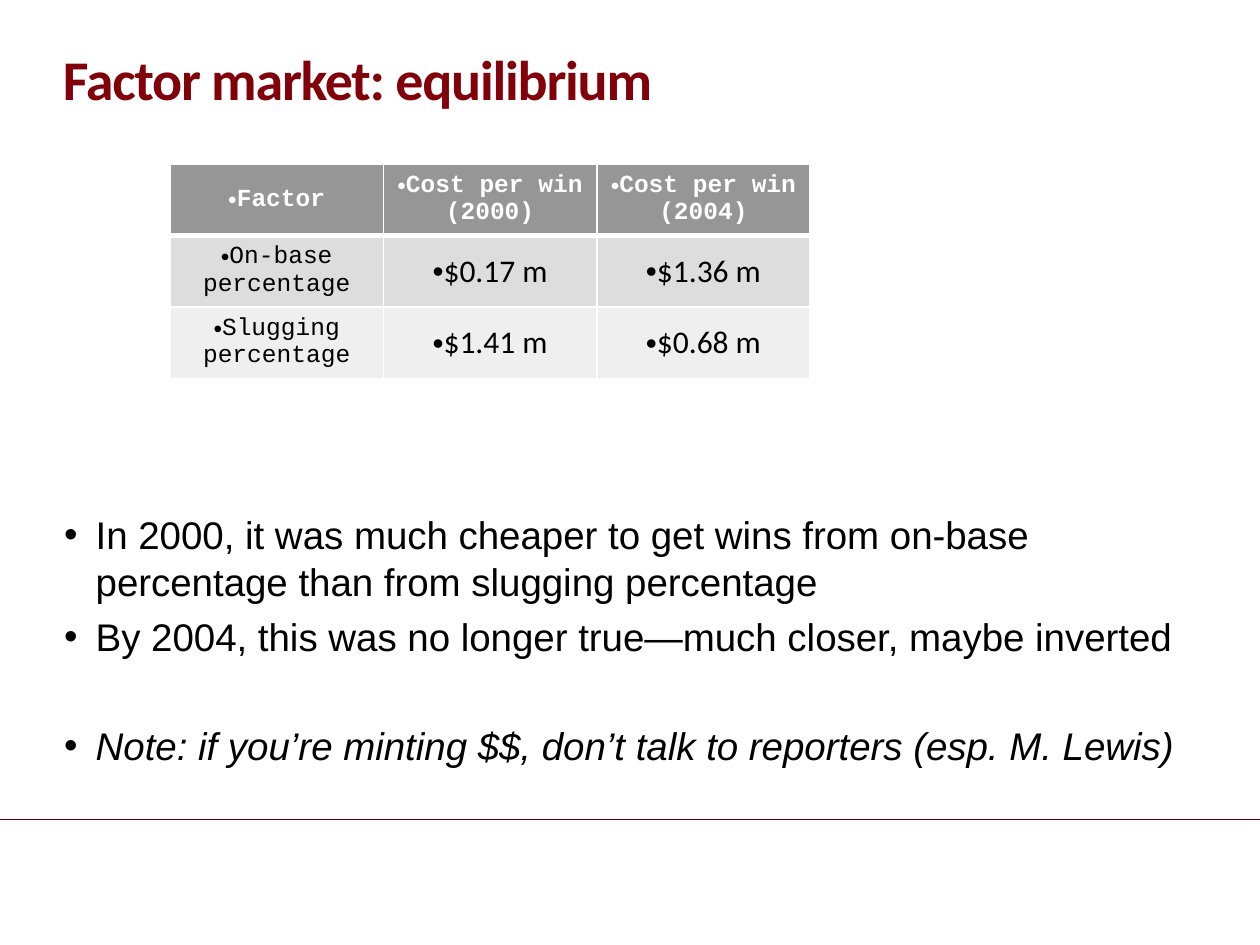
from dataclasses import dataclass
from lxml.etree import SubElement
from pptx import Presentation
from pptx.dml.color import RGBColor
from pptx.enum.shapes import MSO_CONNECTOR
from pptx.enum.text import MSO_ANCHOR, PP_ALIGN
from pptx.oxml.ns import qn
from pptx.util import Inches, Pt


@dataclass(frozen=True)
class Theme:
    title: str = "820009"
    rule: str = "6E0000"
    ink: str = "000000"
    white: str = "FFFFFF"
    bands: tuple = ("969696", "DDDDDD", "EFEFEF")
    head: str = "Calibri"
    body: str = "Arial"
    mono: str = "Courier New"
    big: int = 32
    text: int = 22
    money: int = 18
    label: int = 14


theme = Theme()


def add_run(para, text, font, size, color, bold=False, slant=False):
    run = para.add_run()
    run.text = text
    run.font.name, run.font.size = font, Pt(size)
    run.font.bold, run.font.italic = bold, slant
    run.font.color.rgb = RGBColor.from_string(color)
    return run


def add_bullet(para, color, hang=0):
    props = para._p.get_or_add_pPr()
    props.set("marL", str(Inches(hang)))
    props.set("indent", str(-Inches(hang)))
    SubElement(SubElement(props, qn("a:buClr")), qn("a:srgbClr"), val=color)
    SubElement(props, qn("a:buFont"), typeface=theme.body)
    SubElement(props, qn("a:buChar"), char="•")


def add_frame(slide, box):
    frame = slide.shapes.add_textbox(*map(Inches, box)).text_frame
    frame.word_wrap = True
    frame.margin_left = frame.margin_right = 0
    frame.margin_top = frame.margin_bottom = 0
    return frame


def add_rule(slide, left, top, width):
    line = slide.shapes.add_connector(
        MSO_CONNECTOR.STRAIGHT, Inches(left), Inches(top),
        Inches(left + width), Inches(top))
    line.line.color.rgb = RGBColor.from_string(theme.rule)
    line.line.width = Pt(0.25)
    SubElement(line._element.spPr, qn("a:effectLst"))


def add_title(slide, box, text):
    frame = add_frame(slide, box)
    frame.vertical_anchor = MSO_ANCHOR.BOTTOM
    para = frame.paragraphs[0]
    para.line_spacing = 0.9
    run = add_run(para, text, theme.head, theme.big, theme.title, bold=True)
    run.font._element.set("spc", "-70")


def add_points(slide, box, points):
    frame = add_frame(slide, box)
    for i, (text, gap, slant) in enumerate(points):
        para = frame.add_paragraph() if i else frame.paragraphs[0]
        para.space_before = Pt(gap)
        add_bullet(para, theme.ink, hang=0.25)
        add_run(para, text, theme.body, theme.text, theme.ink, slant=slant)


def set_edges(cell, **widths):
    # Borders come before the fill in the cell properties
    props = cell._tc.get_or_add_tcPr()
    for i, side in enumerate("LRTB"):
        edge = SubElement(props, qn("a:ln" + side), w=str(Pt(widths.get(side, 1))))
        fill = SubElement(edge, qn("a:solidFill"))
        SubElement(fill, qn("a:srgbClr"), val=theme.white)
        props.insert(i, edge)


def add_costs(slide, box, rows):
    left, top, width, height = box
    grid = slide.shapes.add_table(
        len(rows), len(rows[0]), *map(Inches, box)).table
    for col in grid.columns:
        col.width = Inches(width / len(rows[0]))
    for r, row in enumerate(rows):
        grid.rows[r].height = Inches(height / len(rows))
        for c, text in enumerate(row):
            cell = grid.cell(r, c)
            cell.vertical_anchor = MSO_ANCHOR.MIDDLE
            cell.fill.solid()
            cell.fill.fore_color.rgb = RGBColor.from_string(theme.bands[r])
            set_edges(cell, T=3 if r == 1 else 1, B=3 if r == 0 else 1)
            money = r > 0 and c > 0
            if money:
                cell.margin_left = cell.margin_right = Inches(0.01)
                cell.margin_top, cell.margin_bottom = Inches(0.01), 0
            font, size = ((theme.head, theme.money) if money
                          else (theme.mono, theme.label))
            color = theme.ink if r else theme.white
            para = cell.text_frame.paragraphs[0]
            para.alignment = PP_ALIGN.CENTER
            add_bullet(para, color)
            add_run(para, text, font, size, color, bold=r == 0)


def add_market(deck):
    slide = deck.slides.add_slide(deck.slide_layouts[6])
    # Footer rule
    add_rule(slide, 0, 6.5, 10)
    # Title
    add_title(slide, (0.5, 0.29, 9, 0.6), "Factor market: equilibrium")
    # Bullet points: text, space before, italic
    add_points(slide, (0.51, 4.06, 9, 2.43), [
        ("In 2000, it was much cheaper to get wins from on-base "
         "percentage than from slugging percentage", 5.3, False),
        ("By 2004, this was no longer true—much closer, maybe inverted",
         5.3, False),
        ("Note: if you’re minting $$, don’t talk to reporters "
         "(esp. M. Lewis)", 36, True),
    ])
    # Cost table
    add_costs(slide, (1.35, 1.3, 5.08, 1.6), [
        ("Factor", "Cost per win (2000)", "Cost per win (2004)"),
        ("On-base percentage", "$0.17 m", "$1.36 m"),
        ("Slugging percentage", "$1.41 m", "$0.68 m"),
    ])


deck = Presentation()
deck.slide_width, deck.slide_height = Inches(10), Inches(7.5)
add_market(deck)
deck.save("out.pptx")
